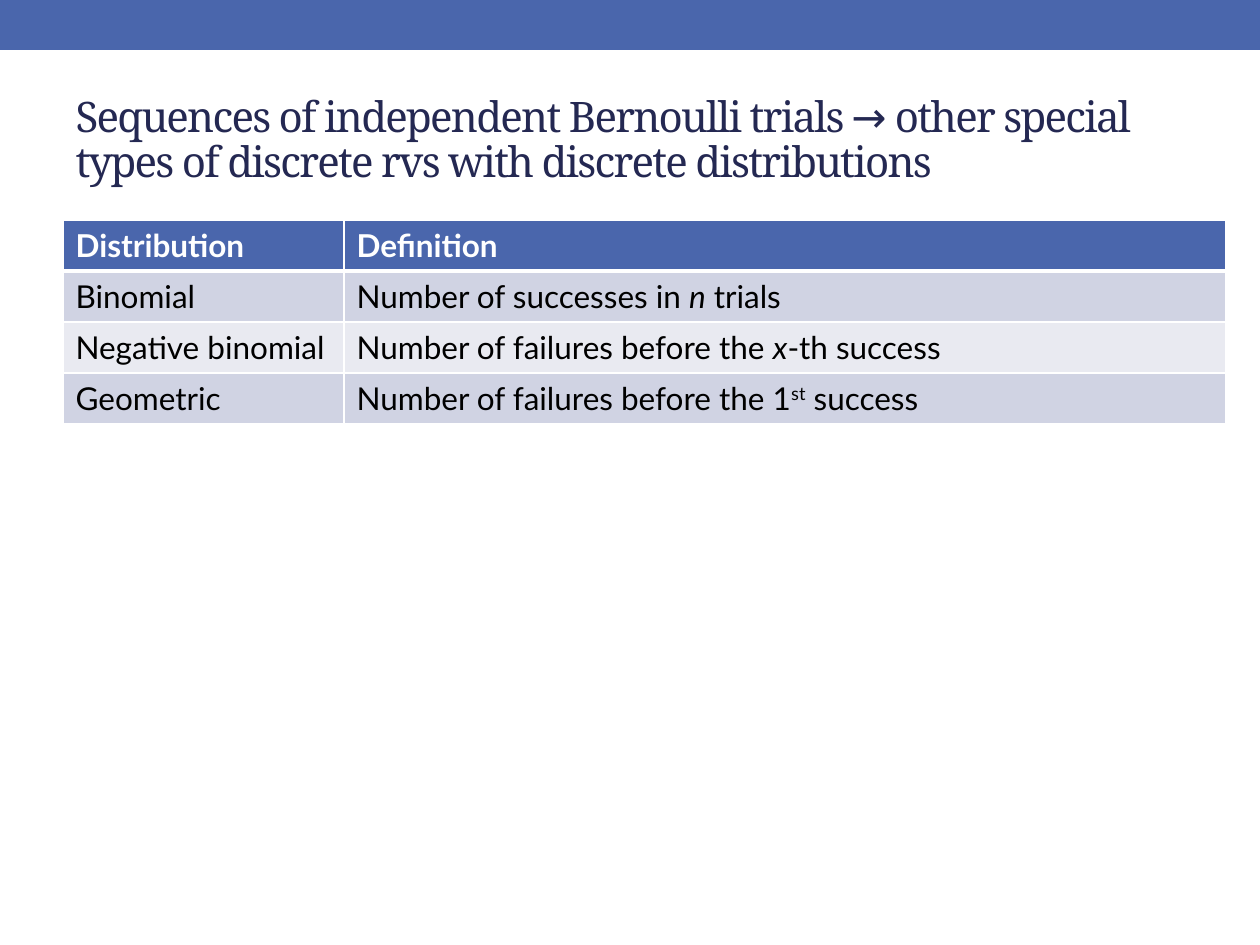
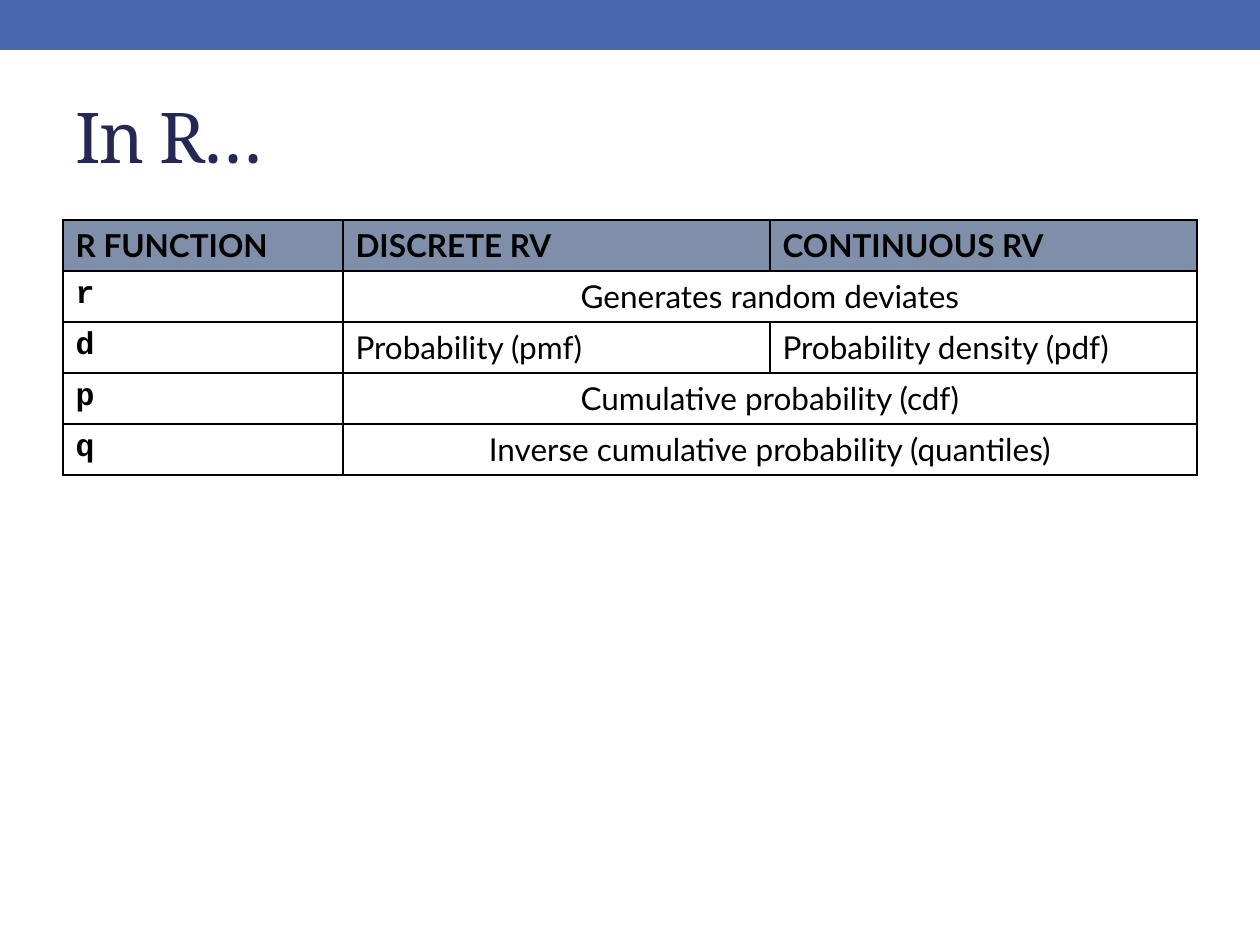
import pptx
import pptx.dml.color
import pptx.enum.shapes
import pptx.enum.text
import pptx.oxml.ns
import pptx.util
from lxml import etree

RGBColor = pptx.dml.color.RGBColor
BLUE = RGBColor(0x4A, 0x66, 0xAC)
NAVY = RGBColor(0x24, 0x28, 0x52)
SLATE = RGBColor(0x7F, 0x8F, 0xA9)
BAND_DARK = RGBColor(0xD0, 0xD3, 0xE3)
BAND_LIGHT = RGBColor(0xE9, 0xEA, 0xF1)
WHITE = RGBColor(0xFF, 0xFF, 0xFF)
BLACK = RGBColor(0x00, 0x00, 0x00)

TITLE_FONT, BODY_FONT, CODE_FONT = "Noto Serif", "Lato", "Courier New"
PX_PER_INCH = 126
LEFT, TABLE_TOP, ROW_HEIGHT = 63, 220, 51
CENTER = pptx.enum.text.PP_ALIGN.CENTER


def px(length):
    return round(length * pptx.util.Inches(1) / PX_PER_INCH)


class SlideBuilder:
    """Holds the deck style and the slide being built."""

    def __init__(self):
        self.deck = pptx.Presentation()
        self.deck.slide_width, self.deck.slide_height = px(1260), px(945)
        self.page = None

    def start(self, title, size):
        self.page = self.deck.slides.add_slide(self.deck.slide_layouts[5])
        self.band()
        self.title(title, size)

    def band(self):
        band = self.page.shapes.add_shape(
            pptx.enum.shapes.MSO_SHAPE.RECTANGLE, 0, 0, px(1260), px(50))
        band.shadow.inherit = False
        band.fill.solid()
        band.fill.fore_color.rgb = BLUE
        band.line.fill.background()

    def title(self, text, size):
        box = self.page.shapes.title
        box.left, box.top, box.width, box.height = px(LEFT), px(73), px(1134), px(136)
        frame = box.text_frame
        frame.text = text
        frame.word_wrap = True
        frame.auto_size = pptx.enum.text.MSO_AUTO_SIZE.NONE
        frame.vertical_anchor = pptx.enum.text.MSO_ANCHOR.MIDDLE
        para = frame.paragraphs[0]
        para.alignment = pptx.enum.text.PP_ALIGN.LEFT
        para.line_spacing = 0.9
        self.font(para, TITLE_FONT, size, NAVY)
        para.runs[0]._r.get_or_add_rPr().set("spc", "-100")

    def font(self, para, name, size, color, bold=False):
        para.font.name = name
        para.font.size = pptx.util.Pt(size)
        para.font.color.rgb = color
        para.font.bold = bold

    def table(self, columns, row_count, styled_header):
        frame = self.page.shapes.add_table(
            row_count, len(columns), px(LEFT), px(TABLE_TOP),
            px(sum(columns)), px(ROW_HEIGHT * row_count))
        table = frame.table
        table.first_row = styled_header
        table.horz_banding = False
        for column, width in zip(table.columns, columns):
            column.width = px(width)
        for row in table.rows:
            row.height = px(ROW_HEIGHT)
        return table

    def cell(self, cell, spans, fill=None, name=BODY_FONT, color=BLACK,
             bold=False, align=None):
        """Fill a cell; spans is a list of (text, style) pairs or a string."""
        if isinstance(spans, str):
            spans = [(spans, "")]
        para = cell.text_frame.paragraphs[0]
        para.alignment = align
        self.font(para, name, 18, color, bold)
        for text, style in spans:
            span = para.add_run()
            span.text = text
            if style == "italic":
                span.font.italic = True
            elif style == "super":
                span._r.get_or_add_rPr().set("baseline", "30000")
        if fill is None:
            cell.fill.background()
        else:
            cell.fill.solid()
            cell.fill.fore_color.rgb = fill

    def borders(self, cell, color, top=1, bottom=1):
        properties = cell._tc.get_or_add_tcPr()
        widths = {"lnL": 1, "lnR": 1, "lnT": top, "lnB": bottom}
        for index, (side, width) in enumerate(widths.items()):
            line = etree.Element(pptx.oxml.ns.qn("a:" + side),
                                 w=str(pptx.util.Pt(width)))
            solid = etree.SubElement(line, pptx.oxml.ns.qn("a:solidFill"))
            etree.SubElement(solid, pptx.oxml.ns.qn("a:srgbClr"), val=str(color))
            properties.insert(index, line)


def build_distributions(builder):
    builder.start("Sequences of independent Bernoulli trials → other special "
                  "types of discrete rvs with discrete distributions", 24)
    rows = [
        ("Distribution", "Definition"),
        ("Binomial", [("Number of successes in ", ""), ("n", "italic"),
                      (" trials", "")]),
        ("Negative binomial", [("Number of failures before the ", ""),
                               ("x", "italic"), ("-th success", "")]),
        ("Geometric", [("Number of failures before the 1", ""), ("st", "super"),
                       (" success", "")]),
    ]
    table = builder.table([281, 882], len(rows), styled_header=True)
    for i, row in enumerate(rows):
        header = i == 0
        fill = BLUE if header else (BAND_LIGHT, BAND_DARK)[i % 2]
        for j, spans in enumerate(row):
            cell = table.cell(i, j)
            builder.borders(cell, WHITE, top=3 if i == 1 else 1,
                            bottom=3 if header else 1)
            builder.cell(cell, spans, fill, bold=header,
                         color=WHITE if header else BLACK)


def build_r_functions(builder):
    builder.start("In R…", 40)
    headings = ["R FUNCTION", "DISCRETE RV", "CONTINUOUS RV"]
    functions = [
        ("r", "Generates random deviates"),
        ("d", "Probability (pmf)", "Probability density (pdf)"),
        ("p", "Cumulative probability (cdf)"),
        ("q", "Inverse cumulative probability (quantiles)"),
    ]
    table = builder.table([280, 427, 427], len(functions) + 1, styled_header=False)
    for cell in table.iter_cells():
        builder.borders(cell, BLACK)
    for j, heading in enumerate(headings):
        builder.cell(table.cell(0, j), heading, SLATE, bold=True)
    for i, (function, *meanings) in enumerate(functions, start=1):
        builder.cell(table.cell(i, 0), function, name=CODE_FONT, bold=True)
        # One meaning covers both kinds of variable
        shared = len(meanings) == 1
        if shared:
            table.cell(i, 1).merge(table.cell(i, 2))
        for j, meaning in enumerate(meanings, start=1):
            builder.cell(table.cell(i, j), meaning, align=CENTER if shared else None)


def main():
    builder = SlideBuilder()
    build_distributions(builder)
    build_r_functions(builder)
    builder.deck.save("out.pptx")


if __name__ == "__main__":
    main()
